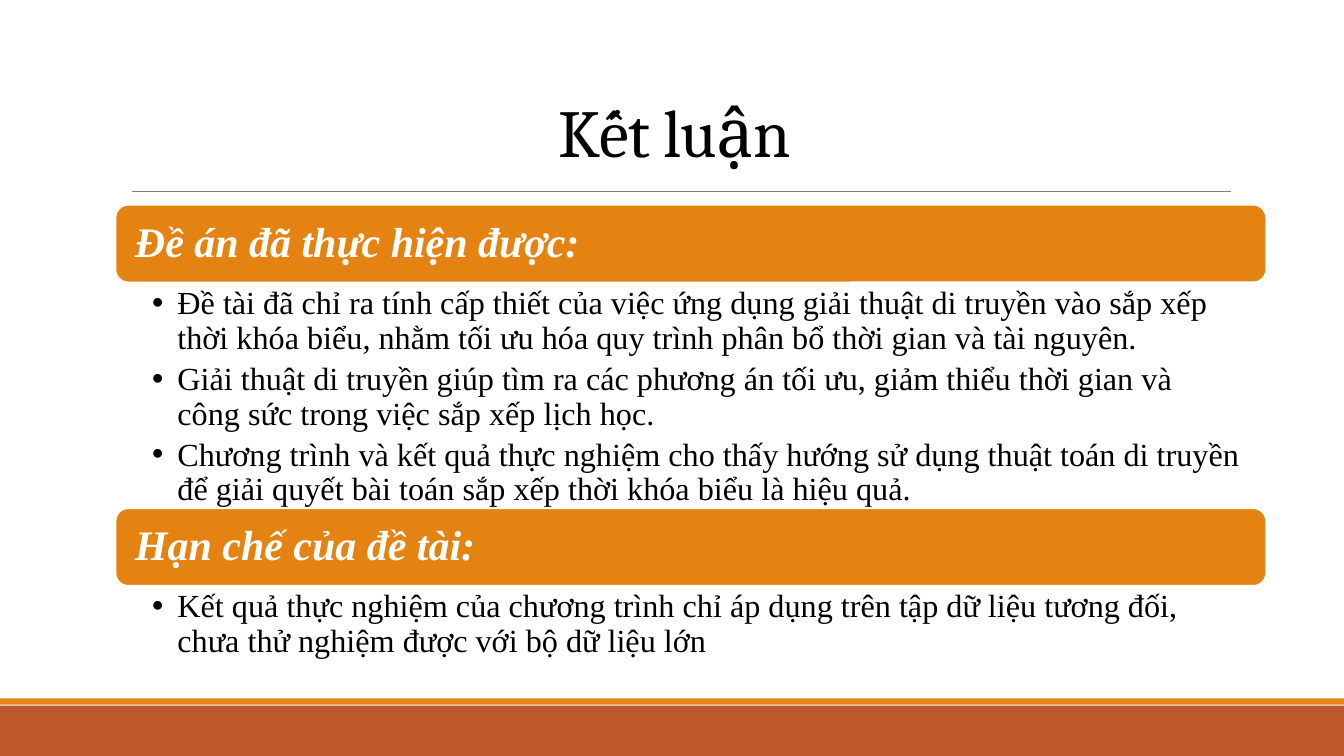
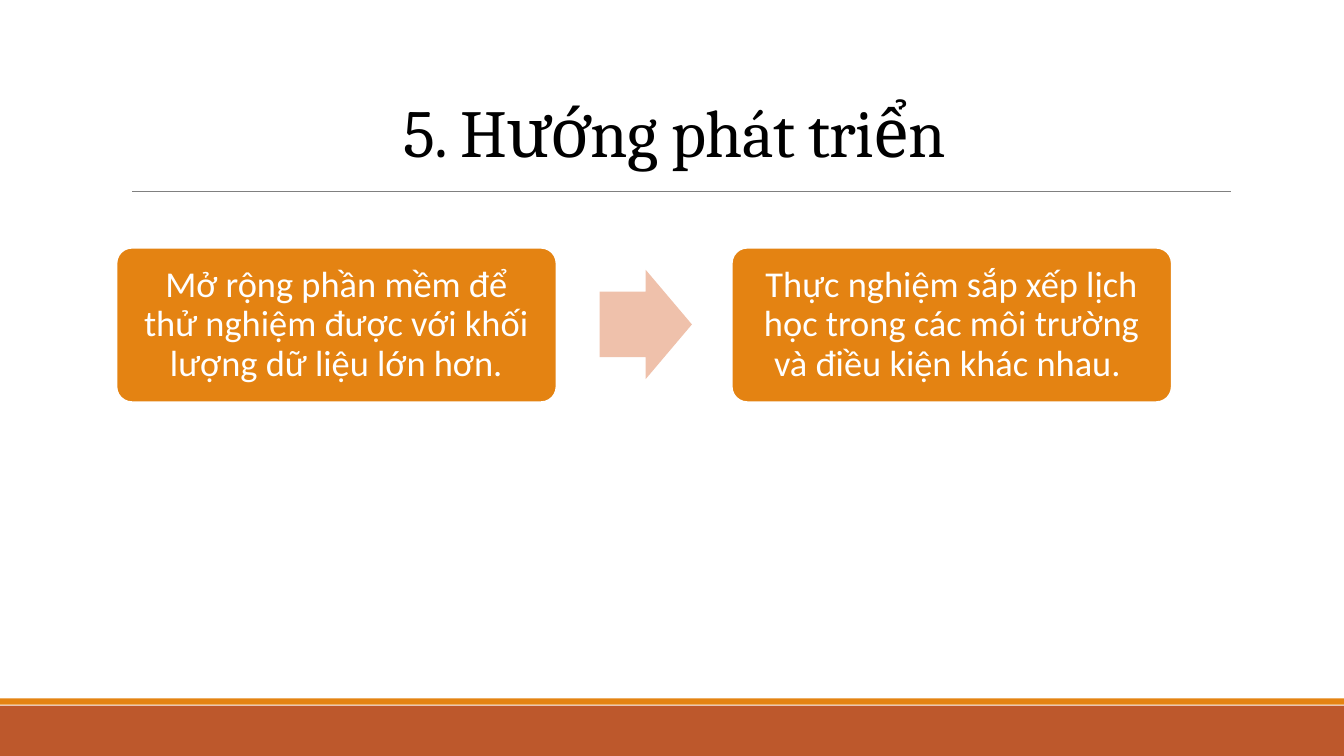
from dataclasses import dataclass

from pptx import Presentation
from pptx import util as u
from pptx.dml import color
from pptx.enum import shapes, text
from lxml import etree

PX = 9525
A_NS = "http://schemas.openxmlformats.org/drawingml/2006/main"
COLORS = {
    "orange": "E48312",
    "rust": "BD582C",
    "peach": "EFC1AB",
    "rule": "808080",
    "white": "FFFFFF",
    "black": "000000",
}
KIND = shapes.MSO_SHAPE
ALIGN = text.PP_ALIGN
ANCHOR = text.MSO_ANCHOR


@dataclass(frozen=True)
class Box:
    x: int
    y: int
    w: int
    h: int

    def emu(self) -> list[u.Emu]:
        return [u.Emu(v * PX) for v in (self.x, self.y, self.w, self.h)]


@dataclass(frozen=True)
class Style:
    font: str
    size: int
    color: str
    align: ALIGN = ALIGN.LEFT
    leading: float = 0.9
    after: float = 0
    strong: bool = False
    tracking: int = 0
    hang: int = 0


@dataclass(frozen=True)
class Section:
    heading: str
    y: int
    list_h: int
    points: tuple[str, ...]


TITLE = Style("Cambria", 48, "black", ALIGN.CENTER, 0.85, tracking=-50)
HEADING = Style("Times New Roman", 30, "white", strong=True)
POINT = Style("Times New Roman", 23, "black", after=4.5, hang=24)
STEP = Style("Calibri", 26, "white", ALIGN.CENTER)

TITLE_BOX = Box(110, 73, 1066, 95)
LEFT, WIDTH, BAR_H = 110, 1096, 74
STEP_BOX = Box(111, 236, 419, 147)
STEP_PITCH = 586
ARROW_BOX = Box(571, 257, 88, 104)

SECTIONS = (
    Section("Đề án đã thực hiện được:", 195, 215, (
        "Đề tài đã chỉ ra tính cấp thiết của việc ứng dụng giải thuật di truyền vào sắp xếp "
        "thời khóa biểu, nhằm tối ưu hóa quy trình phân bổ thời gian và tài nguyên.",
        "Giải thuật di truyền giúp tìm ra các phương án tối ưu, giảm thiểu thời gian và "
        "công sức trong việc sắp xếp lịch học.",
        "Chương trình và kết quả thực nghiệm cho thấy hướng sử dụng thuật toán di truyền "
        "để giải quyết bài toán sắp xếp thời khóa biểu là hiệu quả.",
    )),
    Section("Hạn chế của đề tài:", 484, 72, (
        "Kết quả thực nghiệm của chương trình chỉ áp dụng trên tập dữ liệu tương đối, "
        "chưa thử nghiệm được với bộ dữ liệu lớn",
    )),
)
STEPS = (
    "Mở rộng phần mềm để thử nghiệm được với khối lượng dữ liệu lớn hơn.",
    "Thực nghiệm sắp xếp lịch học trong các môi trường và điều kiện khác nhau. ",
)


def rgb(name: str) -> color.RGBColor:
    return color.RGBColor.from_string(COLORS[name])


def place(sp, box: Box) -> None:
    sp.left, sp.top, sp.width, sp.height = box.emu()


def write(sp, lines: tuple[str, ...], style: Style, anchor: ANCHOR,
          insets: tuple[int, int, int, int]) -> None:
    tf = sp.text_frame
    tf.word_wrap = True
    tf.auto_size = text.MSO_AUTO_SIZE.NONE
    tf.vertical_anchor = anchor
    tf.margin_left, tf.margin_top, tf.margin_right, tf.margin_bottom = (
        u.Emu(v * PX) for v in insets)
    for i, line in enumerate(lines):
        p = tf.add_paragraph() if i else tf.paragraphs[0]
        if style.hang:
            pPr = p._p.get_or_add_pPr()
            pPr.set("marL", str(style.hang * PX))
            pPr.set("indent", str(-style.hang * PX))
        p.alignment = style.align
        p.line_spacing = style.leading
        p.space_before = u.Pt(0)
        p.space_after = u.Pt(style.after)
        r = p.add_run()
        r.text = line
        r.font.name = style.font
        r.font.size = u.Pt(style.size)
        r.font.bold = r.font.italic = style.strong
        r.font.color.rgb = rgb(style.color)
        if style.tracking:
            r._r.get_or_add_rPr().set("spc", str(style.tracking))


def add_block(slide, kind: KIND, box: Box, fill: str, outlined: bool = False):
    sp = slide.shapes.add_shape(kind, *box.emu())
    sp.shadow.inherit = False
    sp.fill.solid()
    sp.fill.fore_color.rgb = rgb(fill)
    if outlined:
        sp.line.color.rgb = rgb("white")
        sp.line.width = u.Pt(1.25)
    else:
        sp.line.fill.background()
    return sp


def add_slide(prs, layout: int, title: str):
    slide = prs.slides.add_slide(prs.slide_layouts[layout])
    place(slide.shapes.title, TITLE_BOX)
    write(slide.shapes.title, (title,), TITLE, ANCHOR.BOTTOM, (10, 5, 10, 5))
    return slide


def add_master_decor(prs, slide) -> None:
    band = add_block(slide, KIND.RECTANGLE, Box(0, 672, 1280, 48), "rust")
    stripe = add_block(slide, KIND.RECTANGLE, Box(0, 665, 1280, 6), "orange")
    rule = slide.shapes.add_connector(
        shapes.MSO_CONNECTOR.STRAIGHT, *(u.Emu(v * PX) for v in (126, 182, 1172, 182)))
    rule.line.color.rgb = rgb("rule")
    rule.line.width = u.Pt(0.5)
    etree.SubElement(rule._element.spPr, f"{{{A_NS}}}effectLst")
    for sp in (band, stripe, rule):
        prs.slide_master.shapes.element.append(sp.element)


def build_conclusion(prs):
    slide = add_slide(prs, 3, "Kết luận")
    for idx, section in enumerate(SECTIONS, 1):
        bar = add_block(slide, KIND.ROUNDED_RECTANGLE,
                        Box(LEFT, section.y, WIDTH, BAR_H), "orange", True)
        write(bar, (section.heading,), HEADING, ANCHOR.MIDDLE, (15, 15, 15, 15))
        body = slide.placeholders[idx]
        place(body, Box(LEFT, section.y + BAR_H, WIDTH, section.list_h))
        write(body, section.points, POINT, ANCHOR.TOP, (35, 4, 22, 4))
    return slide


def build_future_work(prs) -> None:
    slide = add_slide(prs, 5, "5. Hướng phát triển")
    for i, step in enumerate(STEPS):
        box = Box(STEP_BOX.x + i * STEP_PITCH, STEP_BOX.y, STEP_BOX.w, STEP_BOX.h)
        sp = add_block(slide, KIND.ROUNDED_RECTANGLE, box, "orange", True)
        sp.adjustments[0] = 0.1
        write(sp, (step,), STEP, ANCHOR.MIDDLE, (15, 15, 15, 15))
    arrow = add_block(slide, KIND.RIGHT_ARROW, ARROW_BOX, "peach")
    arrow.adjustments[0] = 0.6
    arrow.adjustments[1] = 0.5


def main() -> None:
    prs = Presentation()
    prs.slide_width, prs.slide_height = u.Emu(1280 * PX), u.Emu(720 * PX)
    conclusion = build_conclusion(prs)
    add_master_decor(prs, conclusion)
    build_future_work(prs)
    prs.save("out.pptx")


if __name__ == "__main__":
    main()
